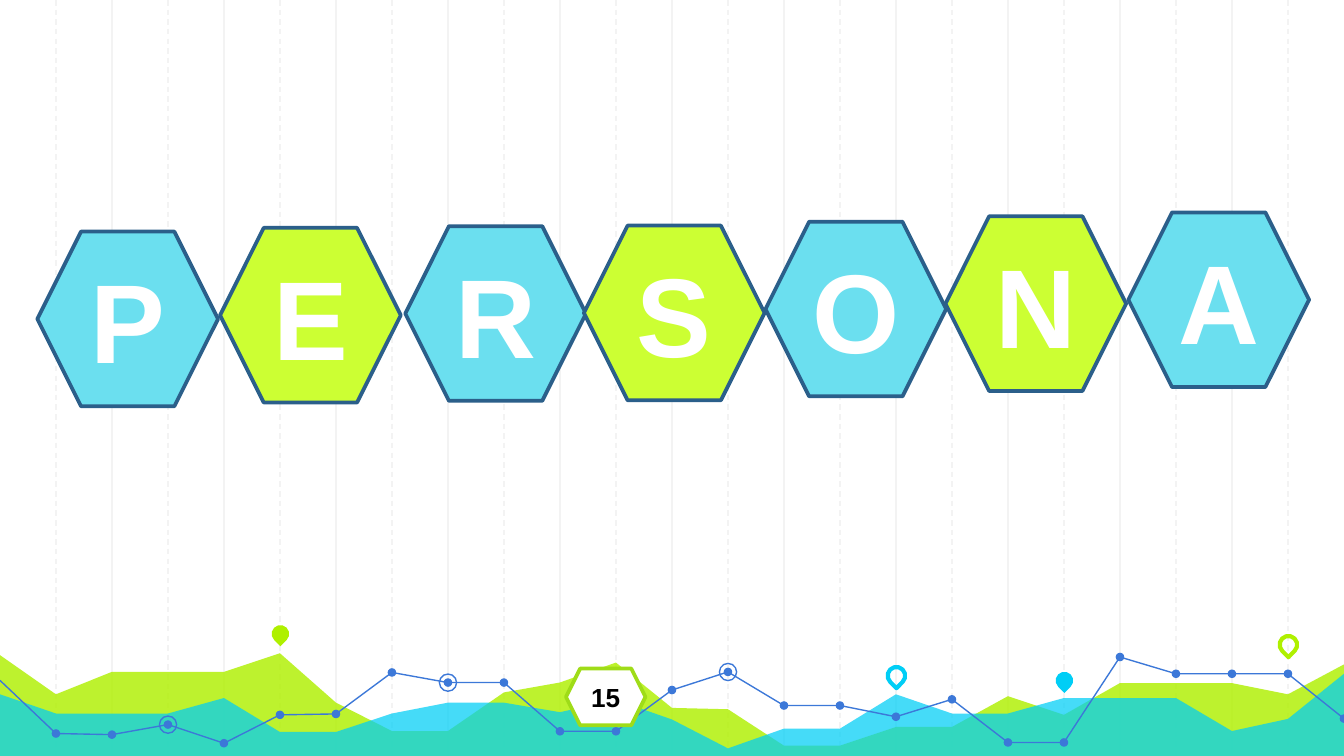
import lxml.etree
import pptx
import pptx.dml.color
import pptx.enum.dml
import pptx.enum.shapes
import pptx.enum.text
import pptx.oxml.ns
import pptx.util

Pt = pptx.util.Pt
RGBColor = pptx.dml.color.RGBColor
MSO_SHAPE = pptx.enum.shapes.MSO_SHAPE
qn = pptx.oxml.ns.qn

WHITE = RGBColor(0xFF, 0xFF, 0xFF)
BLACK = RGBColor(0x00, 0x00, 0x00)
GRID_GREY = RGBColor(0xF3, 0xF3, 0xF3)
LIME = RGBColor(0xAF, 0xF0, 0x00)
CYAN = RGBColor(0x00, 0xCE, 0xF6)
TREND_BLUE = RGBColor(0x3C, 0x78, 0xD8)
TILE_BLUE = RGBColor(0x6B, 0xDF, 0xEF)
TILE_LIME = RGBColor(0xCC, 0xFF, 0x33)
TILE_EDGE = RGBColor(0x2B, 0x5F, 0x8A)
BADGE_EDGE = RGBColor(0x9F, 0xDC, 0x18)

WIDTH, HEIGHT = 720, 405
COLUMN = 30


def style(shape, fill=None, line=None, weight=0.75):
    """Set fill and outline; None means neither is drawn."""
    shape.shadow.inherit = False
    if fill is None:
        shape.fill.background()
    else:
        shape.fill.solid()
        shape.fill.fore_color.rgb = fill
    if line is None:
        shape.line.fill.background()
    else:
        shape.line.color.rgb = line
        shape.line.width = Pt(weight)


def write(shape, text, size, color, bold=True, font="Arial"):
    frame = shape.text_frame
    frame.word_wrap = False
    frame.margin_left = frame.margin_right = 0
    frame.vertical_anchor = pptx.enum.text.MSO_ANCHOR.MIDDLE
    paragraph = frame.paragraphs[0]
    paragraph.alignment = pptx.enum.text.PP_ALIGN.CENTER
    run = paragraph.add_run()
    run.text = text
    run.font.size = Pt(size)
    run.font.name = font
    run.font.bold = bold
    run.font.color.rgb = color


deck = pptx.Presentation()
deck.slide_width, deck.slide_height = Pt(WIDTH), Pt(HEIGHT)
slide = deck.slides.add_slide(deck.slide_layouts[6])
shapes = slide.shapes

# Vertical grid: solid on even columns, dashed on odd ones
for column in range(1, 24):
    x = Pt(column * COLUMN)
    rule = shapes.add_connector(pptx.enum.shapes.MSO_CONNECTOR.STRAIGHT, x, 0, x, Pt(HEIGHT))
    rule.line.color.rgb = GRID_GREY
    rule.line.width = Pt(0.75)
    if column % 2:
        rule.line.dash_style = pptx.enum.dml.MSO_LINE.DASH
    lxml.etree.SubElement(rule._element.spPr, qn("a:effectLst"))

# Translucent areas: column -> height of the upper edge
lime_ridge = {0: 351, 1: 372, 2: 360, 4: 360, 5: 350, 6: 376.5, 7: 391.7, 8: 391.7,
              9: 371, 10: 365.7, 11: 355, 12: 379.3, 13: 380, 14: 399.5, 15: 399.5,
              16: 389.5, 17: 389.5, 18: 373, 19: 383, 20: 366, 22: 366, 23: 372, 24: 356}
cyan_ridge = {0: 372, 1: 382.3, 3: 382.3, 4: 374, 5: 392.2, 6: 392.2, 7: 382.3,
              8: 376.5, 9: 376.5, 10: 381.6, 11: 375, 12: 385.5, 13: 401, 14: 390.4,
              15: 390.4, 16: 372, 17: 382.3, 18: 382.3, 19: 374, 21: 374, 22: 391.7,
              23: 385.2, 24: 361}
for ridge, color, opacity in ((lime_ridge, LIME, 82), (cyan_ridge, CYAN, 73)):
    outline = shapes.build_freeform(0, Pt(HEIGHT))
    edge = [(Pt(column * COLUMN), Pt(y)) for column, y in ridge.items()]
    outline.add_line_segments(edge + [(Pt(WIDTH), Pt(HEIGHT))], close=True)
    area = outline.convert_to_shape()
    style(area, fill=color)
    color_element = area._element.spPr.find(qn("a:solidFill"))[0]
    lxml.etree.SubElement(color_element, qn("a:alpha"), val=str(opacity * 1000))

# Trend line, with a dot on every column and a ring on some
trend = [364.5, 393, 393.6, 388.2, 398.2, 383, 382.5, 360.3, 365.7, 365.7, 391.8, 391.8,
         369.7, 360, 378, 378, 384, 374.7, 397.8, 397.8, 352, 361, 361, 361, 385]
outline = shapes.build_freeform(0, Pt(trend[0]))
outline.add_line_segments([(Pt(column * COLUMN), Pt(y)) for column, y in enumerate(trend)][1:],
                          close=False)
style(outline.convert_to_shape(), line=TREND_BLUE)

dots = [(column, 4.6, TREND_BLUE, None) for column in range(1, 25)]
rings = [(column, 9.2, None, TREND_BLUE) for column in (3, 8, 13)]
for column, size, fill, line in dots + rings:
    marker = shapes.add_shape(MSO_SHAPE.OVAL, Pt(column * COLUMN - size / 2),
                              Pt(trend[column] - size / 2), Pt(size), Pt(size))
    style(marker, fill=fill, line=line)

# Map pins: column, centre height, fill, outline
PIN = 9.4
for column, y, fill, line in ((5, 339.6, LIME, None), (16, 362, None, CYAN),
                              (19, 364.6, CYAN, None), (23, 345.4, None, LIME)):
    pin = shapes.add_shape(MSO_SHAPE.TEAR, Pt(column * COLUMN - PIN / 2 + 0.2),
                           Pt(y - PIN / 2), Pt(PIN), Pt(PIN))
    pin.rotation = 135
    style(pin, fill=fill, line=line, weight=2.25)

# Letter tiles in alternating colours
tile_corners = [(20, 124.1), (117.9, 122.1), (217.1, 121.2), (312.8, 120.9),
                (410.1, 118.8), (506.5, 115.9), (604.5, 113.8)]
for index, (letter, (left, top)) in enumerate(zip("PERSONA", tile_corners)):
    tile = shapes.add_shape(MSO_SHAPE.HEXAGON, Pt(left), Pt(top), Pt(96.8), Pt(93.6))
    style(tile, fill=TILE_LIME if index % 2 else TILE_BLUE, line=TILE_EDGE, weight=2)
    write(tile, letter, size=60, color=WHITE)

page_badge = shapes.add_shape(MSO_SHAPE.HEXAGON, Pt(303.2), Pt(358.2), Pt(42.6), Pt(30.4))
style(page_badge, fill=WHITE, line=BADGE_EDGE, weight=2)
write(page_badge, "15", size=14, color=BLACK)

deck.save("out.pptx")
